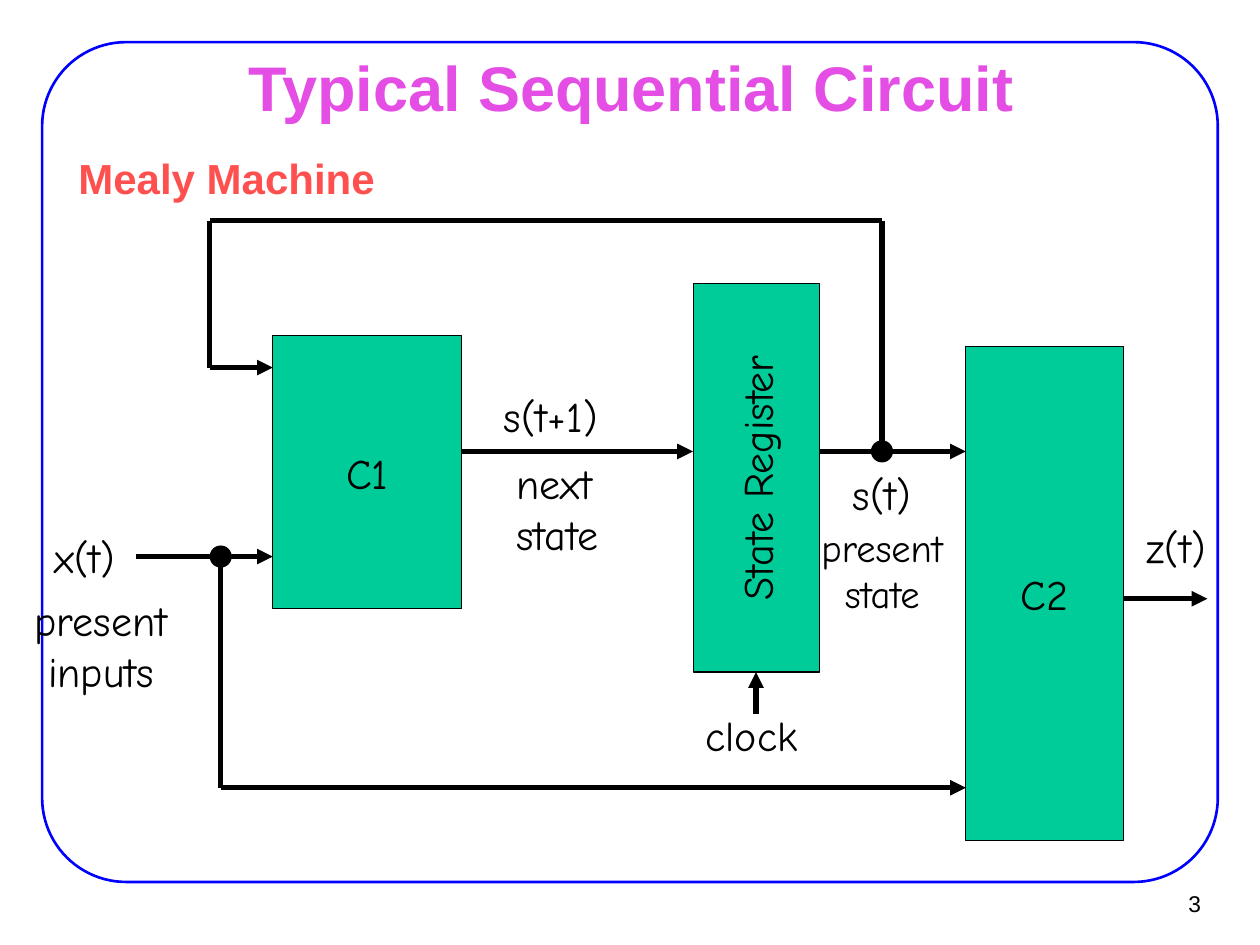
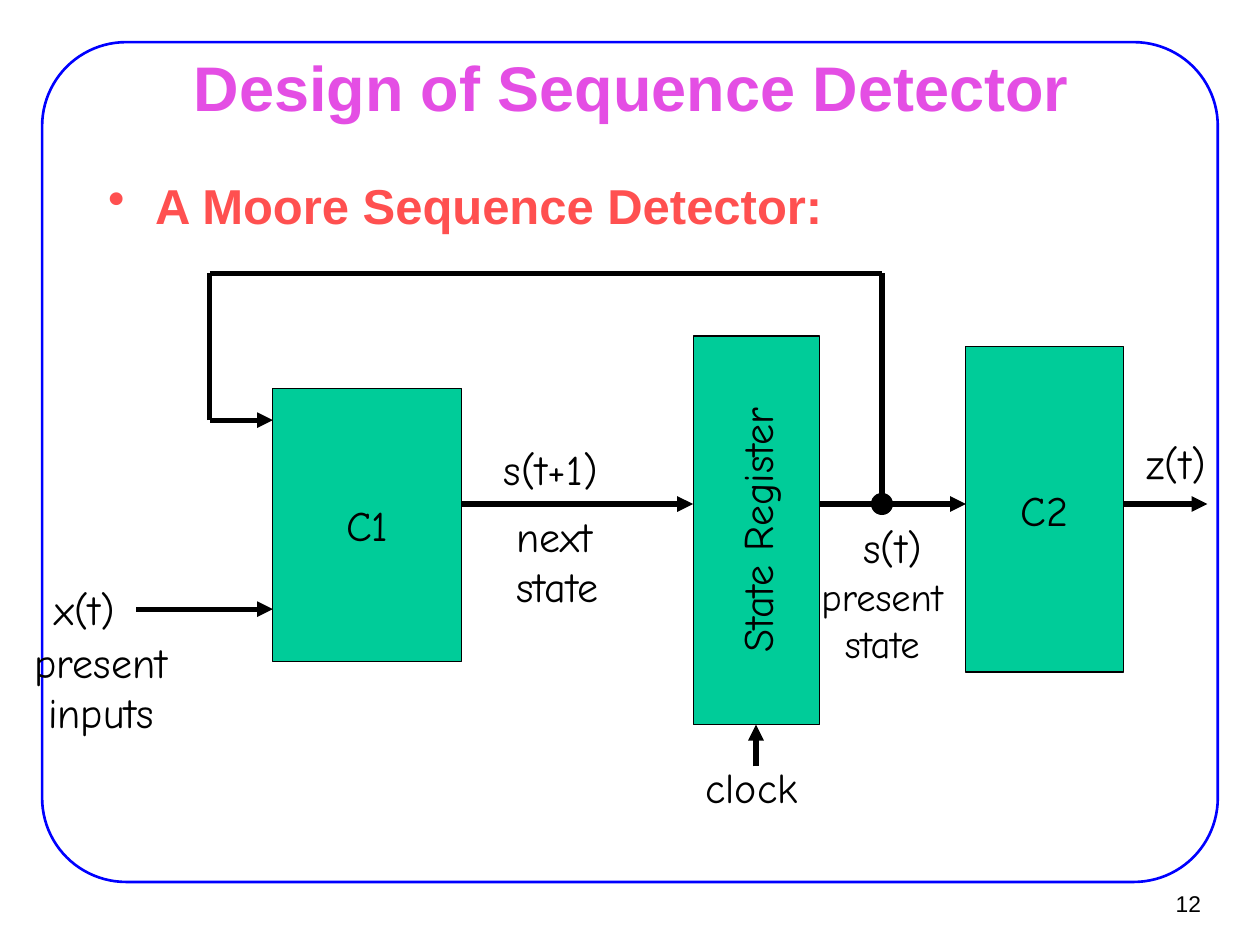
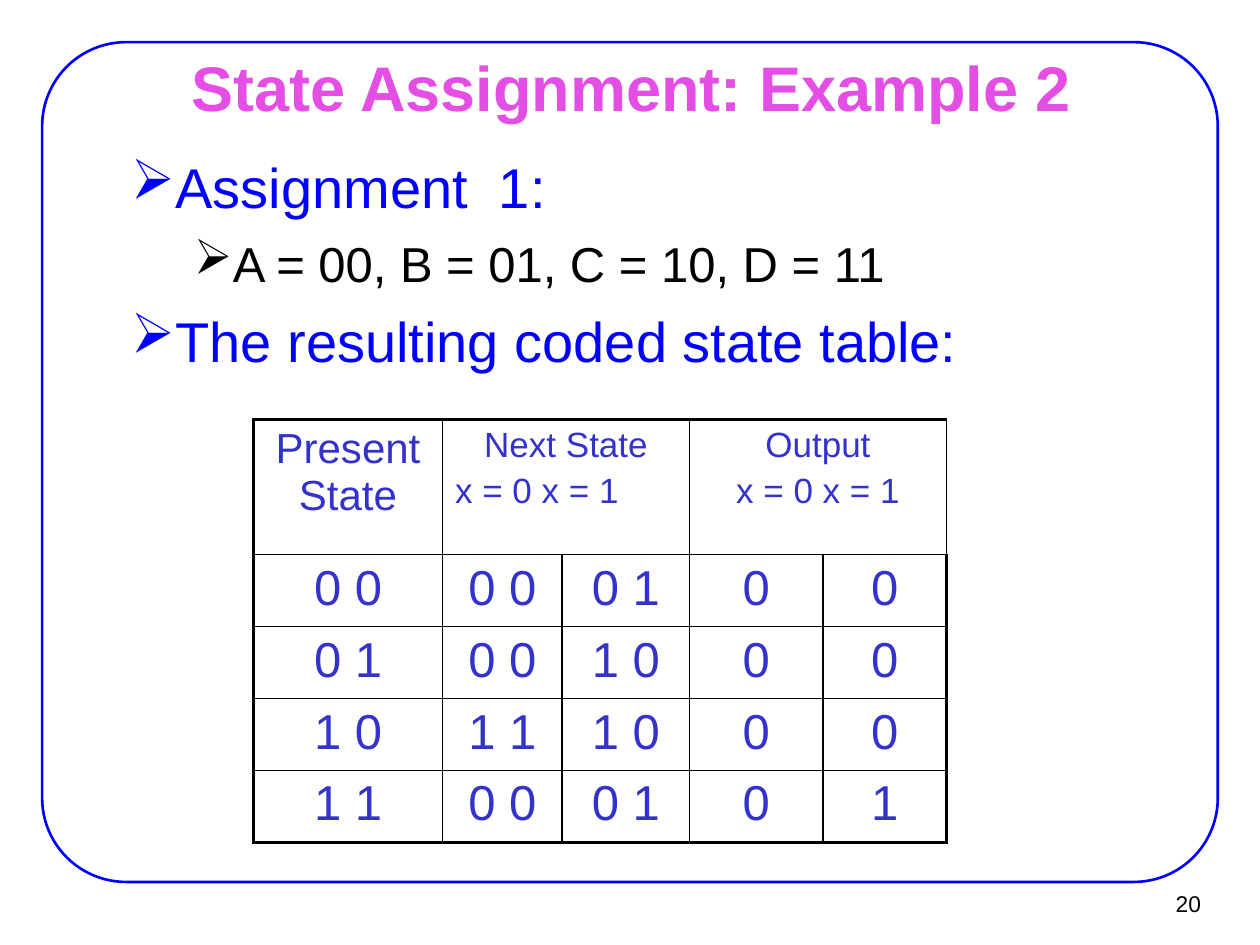
"""Build three slides on sequential circuits: a Mealy machine, a Moore detector and a coded state table."""
from dataclasses import dataclass

from lxml import etree
from pptx import Presentation
from pptx.dml.color import RGBColor
from pptx.enum.shapes import MSO_CONNECTOR, MSO_SHAPE
from pptx.enum.text import MSO_ANCHOR, MSO_AUTO_SIZE, PP_ALIGN
from pptx.oxml.ns import qn
from pptx.util import Cm, Pt

LEFT, CENTER, RIGHT = PP_ALIGN.LEFT, PP_ALIGN.CENTER, PP_ALIGN.RIGHT
TOP, MIDDLE = MSO_ANCHOR.TOP, MSO_ANCHOR.MIDDLE
RECTANGLE, ROUNDED, OVAL = MSO_SHAPE.RECTANGLE, MSO_SHAPE.ROUNDED_RECTANGLE, MSO_SHAPE.OVAL
STRAIGHT = MSO_CONNECTOR.STRAIGHT
NO_AUTOFIT = MSO_AUTO_SIZE.NONE


@dataclass(frozen=True)
class Theme:
    black: RGBColor = RGBColor.from_string("000000")
    blue: RGBColor = RGBColor.from_string("0000FF")
    pink: RGBColor = RGBColor.from_string("E44EE4")
    coral: RGBColor = RGBColor.from_string("FF5050")
    green: RGBColor = RGBColor.from_string("00CC99")
    indigo: RGBColor = RGBColor.from_string("3333CC")
    text_font: str = "Arial"
    diagram_font: str = "Comic Neue"
    title: int = 36
    large: int = 32
    medium: int = 28
    normal: int = 24
    label: int = 22
    small: int = 20
    number: int = 13


theme = Theme()


def write_text(box, lines, size=theme.normal, color=theme.black, font=theme.diagram_font,
               align=LEFT, anchor=TOP, bold=False, margins=(0.25, 0.13)):
    frame = box.text_frame
    frame.auto_size = NO_AUTOFIT
    frame.word_wrap = True
    frame.vertical_anchor = anchor
    frame.margin_left = frame.margin_right = Cm(margins[0])
    frame.margin_top = frame.margin_bottom = Cm(margins[1])
    frame.text = "\n".join(lines)
    for para in frame.paragraphs:
        para.alignment = align
        para.font.name = font
        para.font.size = Pt(size)
        para.font.bold = bold
        para.font.color.rgb = color


def add_line(page, start, end, arrow=False):
    line = page.shapes.add_connector(STRAIGHT, *map(Cm, start + end))
    line.line.color.rgb = theme.black
    line.line.width = Pt(3)
    properties = line._element.spPr
    if arrow:
        etree.SubElement(properties.find(qn("a:ln")), qn("a:tailEnd"), type="triangle")
    etree.SubElement(properties, qn("a:effectLst"))


deck = Presentation()
deck.slide_width, deck.slide_height = Cm(25.4), Cm(19.05)

pages = []
for number, title in (("3", "Typical Sequential Circuit"),
                      ("12", "Design of Sequence Detector"),
                      ("20", "State Assignment: Example 2")):
    page = deck.slides.add_slide(deck.slide_layouts[5])
    pages.append(page)

    frame = page.shapes.add_shape(ROUNDED, Cm(0.85), Cm(0.85), Cm(23.7), Cm(16.93))
    frame.adjustments[0] = 0.1
    frame.shadow.inherit = False
    frame.fill.background()
    frame.line.color.rgb = theme.blue
    frame.line.width = Pt(1.5)

    heading = page.shapes.title
    heading.left, heading.top, heading.width, heading.height = map(Cm, (1.93, 1.12, 21.59, 1.24))
    write_text(heading, [title], theme.title, theme.pink, theme.text_font, CENTER, MIDDLE, True)

    page_number = page.shapes.add_textbox(Cm(22.91), Cm(17.75), Cm(1.55), Cm(0.94))
    write_text(page_number, [number], theme.number, font=theme.text_font, align=RIGHT, anchor=MIDDLE)

mealy_page, moore_page, table_page = pages

for page, heading, place, size in (
        (mealy_page, "Mealy Machine", (1.3, 2.92, 8.41, 2.54), theme.normal),
        (moore_page, "A Moore Sequence Detector:", (1.9, 3.38, 22.2, 2.13), theme.medium)):
    box = page.shapes.add_textbox(*map(Cm, place))
    write_text(box, [heading], size, theme.coral, theme.text_font, bold=True, margins=(0.28, 0.15))
    para = box.text_frame.paragraphs[0]
    para.space_before = Pt(3)
    if page is moore_page:
        properties = para._p.get_or_add_pPr()
        properties.set("marL", str(Cm(0.95)))
        properties.set("indent", str(-Cm(0.95)))
        etree.SubElement(properties, qn("a:buChar"), char="•")

input_x, loop_x, branch_x = 2.75, 4.23, 4.45
c1_left, c1_right = 5.5, 9.31
register_left, register_middle, register_right = 13.97, 15.24, 16.51
tap_x, c2_left, c2_right, output_x = 17.78, 19.47, 22.65, 24.34
c2_top, dot_size = 6.99, 0.42

for page, shift, c2_height, output_y, state_x, present_y, inputs_y in (
        (mealy_page, 0, 9.95, 12.07, 16.94, 10.44, 11.86),
        (moore_page, 1.06, 6.56, 10.16, 17.15, 11.43, 12.7)):
    loop_y, feedback_y, state_y, input_y = (y + shift for y in (4.45, 7.41, 9.1, 11.22))
    bypass_y = 15.88
    is_mealy = page is mealy_page

    for name, left, top, width, height, rotation in (
            ("State Register", 11.33, 8.36 + shift, 7.83, 2.54, 270),
            ("C1", c1_left, 6.77 + shift, c1_right - c1_left, 5.5, 0),
            ("C2", c2_left, c2_top, c2_right - c2_left, c2_height, 0)):
        block = page.shapes.add_shape(RECTANGLE, Cm(left), Cm(top), Cm(width), Cm(height))
        block.rotation = rotation
        block.shadow.inherit = False
        block.fill.solid()
        block.fill.fore_color.rgb = theme.green
        block.line.color.rgb = theme.black
        block.line.width = Pt(0.75)
        write_text(block, [name], align=CENTER, anchor=MIDDLE)

    wires = [
        ((input_x, input_y), (c1_left, input_y), True),
        ((c1_right, state_y), (register_left, state_y), True),
        ((register_middle, 14.39 + shift), (register_middle, 13.55 + shift), True),
        ((loop_x, feedback_y), (c1_left, feedback_y), True),
        ((loop_x, feedback_y), (loop_x, loop_y), False),
        ((loop_x, loop_y), (tap_x, loop_y), False),
        ((tap_x, loop_y), (tap_x, state_y), False),
        ((tap_x, state_y), (register_right, state_y), False),
        ((tap_x, state_y), (c2_left, state_y), True),
        ((c2_right, output_y), (output_x, output_y), True),
    ]
    dots = [(tap_x, state_y)]
    if is_mealy:
        wires += [((branch_x, input_y), (branch_x, bypass_y), False),
                  ((branch_x, bypass_y), (c2_left, bypass_y), True)]
        dots.append((branch_x, input_y))
    for start, end, arrow in wires:
        add_line(page, start, end, arrow)
    for x, y in dots:
        dot = page.shapes.add_shape(OVAL, Cm(x - dot_size / 2), Cm(y - dot_size / 2),
                                    Cm(dot_size), Cm(dot_size))
        dot.shadow.inherit = False
        dot.fill.solid()
        dot.fill.fore_color.rgb = theme.black
        dot.line.color.rgb = theme.black
        dot.line.width = Pt(0.75)

    for lines, left, top, width, size, align in (
            (["x(t)"], 0.85, input_y - 0.64, 2.03, theme.normal, LEFT),
            (["s(t+1)"], 9.91, state_y - 1.35, 2.72, theme.normal, LEFT),
            (["s(t)"], state_x, state_y + 0.22, 1.96, theme.normal, LEFT),
            (["z(t)"], 22.86, output_y - (1.68 if is_mealy else 1.47), 1.98, theme.normal, LEFT),
            (["clock"], 13.97, 14.17 + shift, 2.51, theme.normal, LEFT),
            (["present", "state"], 16.11, present_y, 3.35, theme.label, CENTER),
            (["present", "inputs"], 0.24, inputs_y, 3.6, theme.normal, CENTER),
            (["next", "state"], 10.16, state_y, 2.62, theme.normal, LEFT)):
        label = page.shapes.add_textbox(Cm(left), Cm(top), Cm(width), Cm(1.45 if len(lines) == 1 else 2.6))
        write_text(label, lines, size, align=align)

bullets = (
    ("Assignment  1:", 1, 2.06, 0.79, theme.large, theme.blue, 3),
    ("A = 00, B = 01, C = 10, D = 11", 2, 3.18, 0.64, theme.medium, theme.black, 8),
    ("The resulting coded state table:", 1, 2.06, 0.79, theme.large, theme.blue, 8),
)
body = table_page.shapes.add_textbox(Cm(1.09), Cm(2.92), Cm(21.59), Cm(4.67))
write_text(body, [bullet[0] for bullet in bullets], font=theme.text_font, margins=(0.28, 0.15))
for para, (_, level, margin, hanging, size, color, gap) in zip(body.text_frame.paragraphs, bullets):
    para.level = level
    para.font.size = Pt(size)
    para.font.color.rgb = color
    para.space_before = Pt(gap)
    properties = para._p.get_or_add_pPr()
    properties.set("marL", str(Cm(margin)))
    properties.set("indent", str(-Cm(hanging)))
    etree.SubElement(properties, qn("a:buChar"), char="➢")

column_widths = (3.81, 2.41, 2.57, 2.69, 2.49)
row_heights = (2.72, 1.45, 1.45, 1.45, 1.45)
inputs = "x = 0 x = 1"
rows = (
    (["Present State"], ["Next State", inputs], [], ["Output", inputs], []),
    (["0 0"], ["0 0"], ["0 1"], ["0"], ["0"]),
    (["0 1"], ["0 0"], ["1 0"], ["0"], ["0"]),
    (["1 0"], ["1 1"], ["1 0"], ["0"], ["0"]),
    (["1 1"], ["0 0"], ["0 1"], ["0"], ["1"]),
)
table = table_page.shapes.add_table(len(rows), len(column_widths), Cm(5.11), Cm(8.46),
                                    Cm(sum(column_widths)), Cm(sum(row_heights))).table
table.first_row = table.horz_banding = False
for column, width in zip(table.columns, column_widths):
    column.width = Cm(width)
for row, height in zip(table.rows, row_heights):
    row.height = Cm(height)
for first in (1, 3):
    table.cell(0, first).merge(table.cell(0, first + 1))

last_row, last_column = len(rows) - 1, len(column_widths) - 1
for row_index, row in enumerate(rows):
    for column_index, lines in enumerate(row):
        cell = table.cell(row_index, column_index)
        properties = cell._tc.get_or_add_tcPr()
        for side, outer in (("L", column_index == 0), ("R", column_index == last_column),
                            ("T", row_index == 0), ("B", row_index == last_row)):
            border = etree.SubElement(properties, qn(f"a:ln{side}"), w=str(Pt(2.25 if outer else 1)))
            solid = etree.SubElement(border, qn("a:solidFill"))
            etree.SubElement(solid, qn("a:srgbClr"), val=str(theme.black))
        cell.fill.background()
        if not lines:
            continue
        cell.text = "\n".join(lines)
        size = theme.medium if row_index else theme.small if column_index else theme.normal
        for para in cell.text_frame.paragraphs:
            para.alignment = CENTER
            para.font.name = theme.text_font
            para.font.size = Pt(size)
            para.font.color.rgb = theme.indigo
        for para in cell.text_frame.paragraphs[1:]:
            para.space_before = Pt(4)
table.cell(0, 1).text_frame.paragraphs[1].alignment = LEFT

deck.save("out.pptx")
